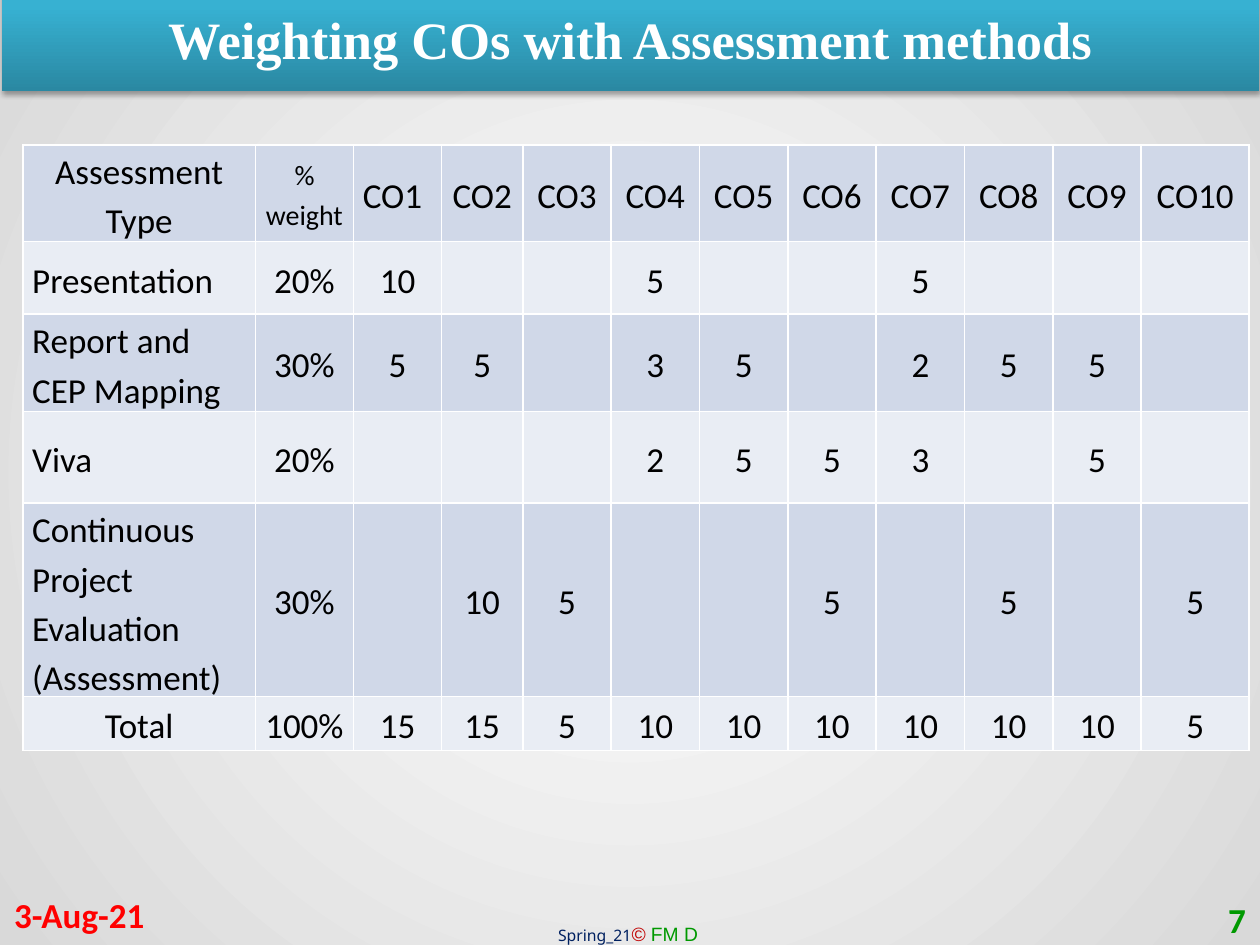
import pptx
import pptx.util
import pptx.dml.color
import pptx.enum.text
import pptx.oxml
import pptx.oxml.ns

Pt = pptx.util.Pt
ALIGN = pptx.enum.text.PP_ALIGN
MIDDLE = pptx.enum.text.MSO_ANCHOR.MIDDLE
FIT = pptx.enum.text.MSO_AUTO_SIZE.SHAPE_TO_FIT_TEXT
NS = pptx.oxml.ns.nsdecls("a")

WIDTHS = [133, 56, 50.4, 46.4] + [50.5] * 7 + [61.7]
HEIGHTS = [55, 41.5, 55.5, 52.5, 110, 31]
ROWS = [
    ["Assessment Type", "% weight"] + [f"CO{n}" for n in range(1, 11)],
    ["Presentation", "20%", 10, "", "", 5, "", "", 5, "", "", ""],
    ["Report and CEP Mapping", "30%", 5, 5, "", 3, 5, "", 2, 5, 5, ""],
    ["Viva", "20%", "", "", "", 2, 5, 5, 3, "", 5, ""],
    ["Continuous Project Evaluation (Assessment)", "30%",
     "", 10, 5, "", "", 5, "", 5, "", 5],
    ["Total", "100%", 15, 15, 5, 10, 10, 10, 10, 10, 10, 5],
]
TOTAL = len(ROWS) - 1


def color(code):
    return pptx.dml.color.RGBColor.from_string(code)


def style(font, name, size, code, bold=False):
    font.name, font.size, font.bold = name, Pt(size), bold
    font.color.rgb = color(code)


def shade(fill, root, stops, course):
    """Fill with gradient stops; course is the XML for the direction."""
    fill.gradient()
    grad = next(root.iter(pptx.oxml.ns.qn("a:gradFill")))
    for child in list(grad):
        grad.remove(child)
    marks = "".join(f'<a:gs pos="{pos * 1000}"><a:srgbClr val="{code}"/></a:gs>'
                    for pos, code in stops)
    for xml in (f"<a:gsLst {NS}>{marks}</a:gsLst>", course):
        grad.append(pptx.oxml.parse_xml(xml))


def add_title(slide):
    title = slide.shapes.title
    title.left, title.top, title.width, title.height = Pt(1), Pt(0), Pt(718.5), Pt(43.8)
    shade(title.fill, title.element.spPr,
          [(0, "2A88A2"), (80, "37B1D2"), (100, "34B4D6")],
          f'<a:lin {NS} ang="16200000" scaled="0"/>')
    title.element.spPr.append(pptx.oxml.parse_xml(
        f'<a:effectLst {NS}><a:outerShdw blurRad="{Pt(3.1)}" dist="{Pt(1.8)}" '
        'dir="5400000" rotWithShape="0"><a:srgbClr val="000000">'
        '<a:alpha val="35000"/></a:srgbClr></a:outerShdw></a:effectLst>'))
    frame = title.text_frame
    frame.text = "Weighting COs with Assessment methods"
    frame.auto_size = FIT
    frame.vertical_anchor = MIDDLE
    para = frame.paragraphs[0]
    para.alignment = ALIGN.CENTER
    style(para.font, "Times New Roman", 30, "FFFFFF", True)


def add_label(slide, left, top, text, code, align):
    box = slide.shapes.add_textbox(Pt(left), Pt(top), Pt(168), Pt(28.8))
    frame = box.text_frame
    frame.word_wrap = True
    frame.vertical_anchor = MIDDLE
    para = frame.paragraphs[0]
    para.text, para.alignment = text, align
    style(para.font, "Calibri", 20, code, True)


def add_footer(slide):
    box = slide.shapes.add_textbox(Pt(311.8), Pt(523.4), Pt(97.9), Pt(20.9))
    frame = box.text_frame
    frame.word_wrap = False
    frame.auto_size = FIT
    for text, name, size, code, slant in (
            ("Spring_21", "Noto Sans", 9, "002060", False),
            ("© ", "Arial", 11, "C00000", True),
            ("FM D", "Arial", 11, "009900", False)):
        run = frame.paragraphs[0].add_run()
        run.text = text
        style(run.font, name, size, code)
        run.font.italic = slant


def add_edges(cell):
    props = cell._tc.get_or_add_tcPr()
    for spot, side in enumerate("LRTB"):
        props.insert(spot, pptx.oxml.parse_xml(
            f'<a:ln{side} {NS} w="{Pt(1)}"><a:solidFill><a:srgbClr val="FFFFFF"/>'
            f'</a:solidFill></a:ln{side}>'))


def fill_cell(cell, row, col, text):
    cell.fill.solid()
    cell.fill.fore_color.rgb = color("E9EDF4" if row % 2 else "D0D8E8")
    add_edges(cell)
    if text == "":
        return
    cell.vertical_anchor = MIDDLE
    cell.margin_left = cell.margin_right = Pt(5.4)
    cell.margin_top = cell.margin_bottom = Pt(0)
    para = cell.text_frame.paragraphs[0]
    para.text = str(text)
    flush = (row, col) == (0, 2) or (col == 0 and 0 < row < TOTAL)
    para.alignment = ALIGN.LEFT if flush else ALIGN.CENTER
    para.line_spacing = 1.15
    if row < 2 or (row == TOTAL and col > 0):
        para.space_after = Pt(10)
    style(para.font, "Calibri", 16 if text == "% weight" else 20, "000000")


def add_grid(slide):
    table = slide.shapes.add_table(
        len(ROWS), len(WIDTHS), Pt(13), Pt(82.8),
        Pt(sum(WIDTHS)), Pt(sum(HEIGHTS))).table
    table.first_row = table.horz_banding = False
    for column, width in zip(table.columns, WIDTHS):
        column.width = Pt(width)
    for row, (values, height) in enumerate(zip(ROWS, HEIGHTS)):
        table.rows[row].height = Pt(height)
        for col, text in enumerate(values):
            fill_cell(table.cell(row, col), row, col, text)


def main():
    deck = pptx.Presentation()
    deck.slide_width, deck.slide_height = Pt(720), Pt(540)
    slide = deck.slides.add_slide(deck.slide_layouts[5])
    shade(slide.background.fill, slide.element, [(0, "FFFFFF"), (100, "D9D9D9")],
          f'<a:path {NS} path="circle"><a:fillToRect l="50000" t="50000" '
          'r="50000" b="50000"/></a:path>')
    add_footer(slide)
    add_title(slide)
    add_label(slide, 1, 508, "3-Aug-21", "FF0000", ALIGN.LEFT)
    add_label(slide, 551, 511, "7", "009900", ALIGN.RIGHT)
    add_grid(slide)
    deck.save("out.pptx")


if __name__ == "__main__":
    main()
